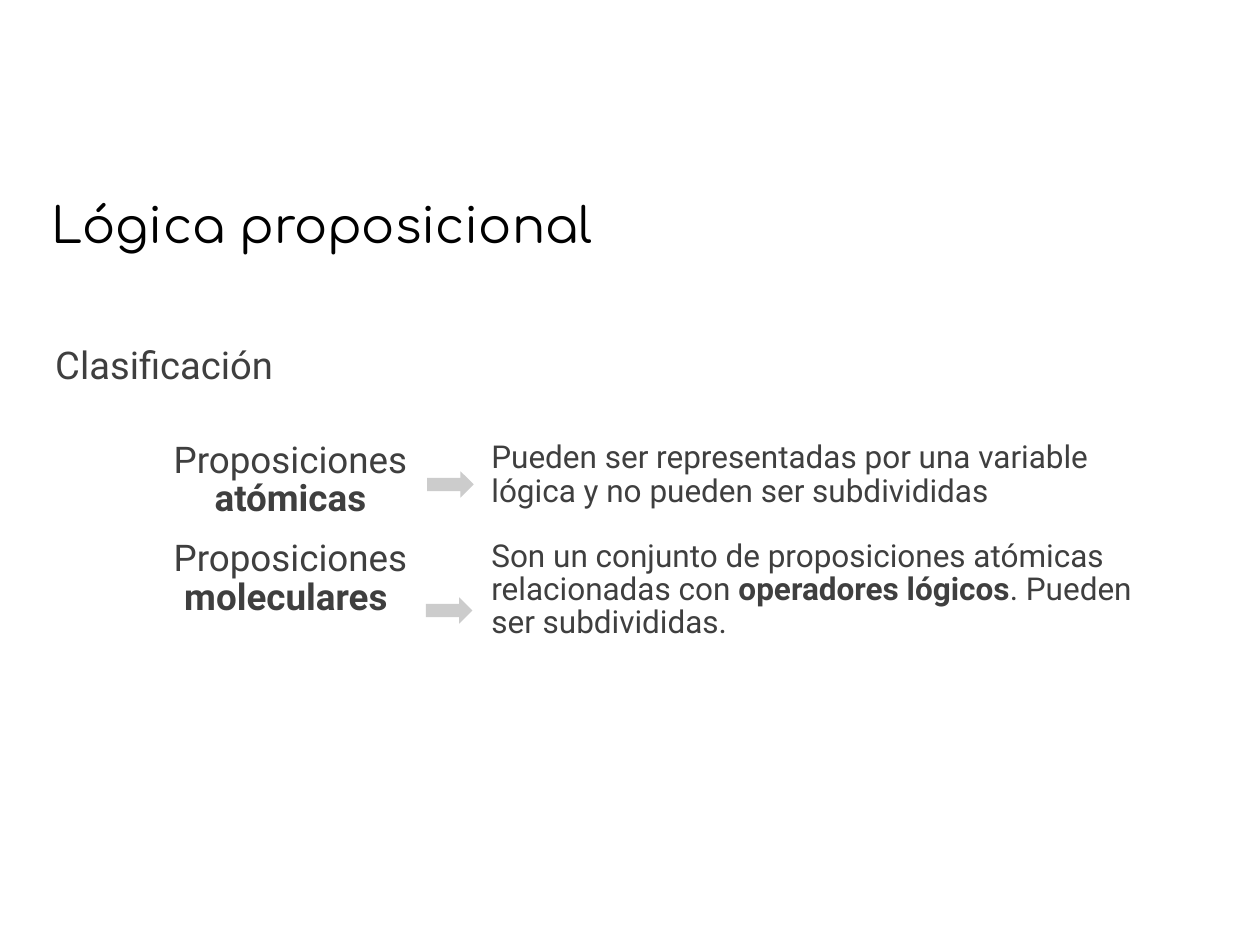
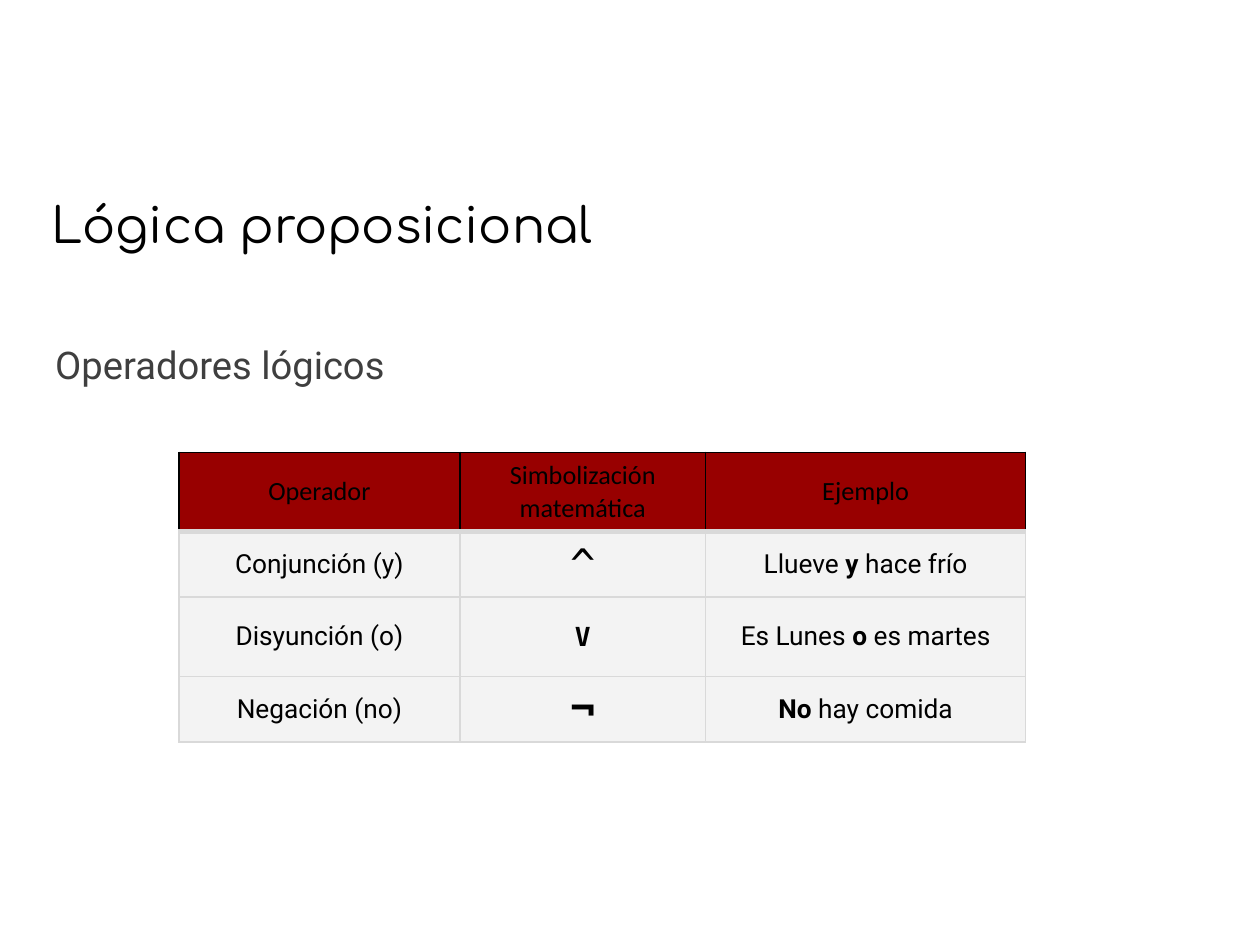
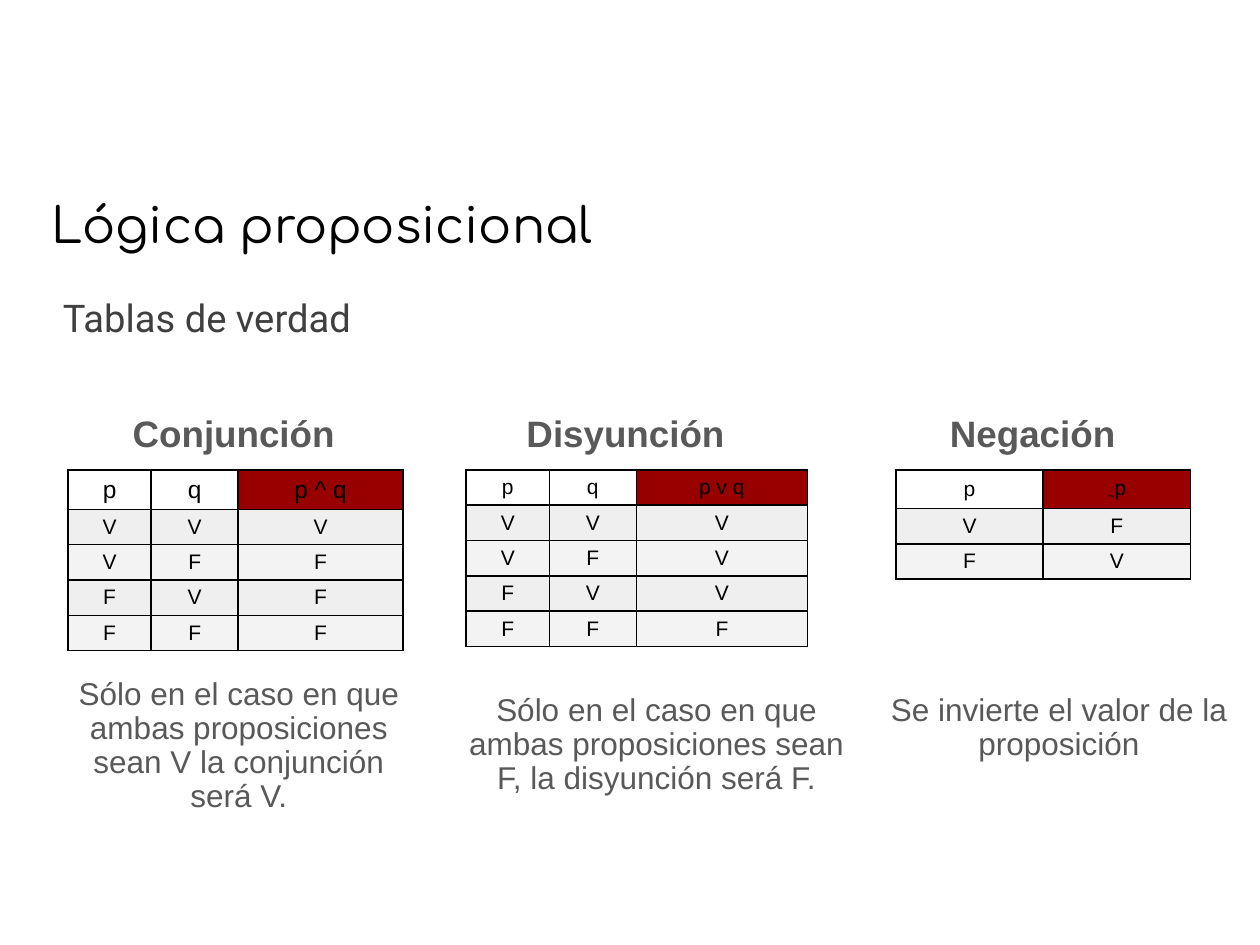
from pptx import Presentation
from pptx.dml.color import RGBColor
from pptx.enum.shapes import MSO_SHAPE as Shape
from pptx.enum.text import MSO_ANCHOR as Anchor, MSO_AUTO_SIZE as AutoSize, PP_ALIGN as Align
from pptx.oxml.ns import qn
from pptx.util import Inches, Pt
from lxml.etree import SubElement

BLACK = RGBColor(0x00, 0x00, 0x00)
WHITE = RGBColor(0xFF, 0xFF, 0xFF)
DARK = RGBColor(0x3F, 0x3F, 0x3F)
GRAY = RGBColor(0x59, 0x59, 0x59)
ARROW = RGBColor(0xCC, 0xCC, 0xCC)
RULE = RGBColor(0xD9, 0xD9, 0xD9)
RED = RGBColor(0x98, 0x00, 0x00)
PALE = RGBColor(0xF3, 0xF3, 0xF3)
BAND = RGBColor(0xEF, 0xEF, 0xEF)

TITLE = "Lógica proposicional"

CLASSES = [
    ([("Proposiciones ", ""), ("atómicas", "bold")],
     "Pueden ser representadas por una variable lógica y no pueden ser subdivididas"),
    ([("Proposiciones ", ""), ("moleculares ", "bold")],
     [("Son un conjunto de proposiciones atómicas relacionadas con ", ""),
      ("operadores lógicos", "bold"), (". Pueden ser subdivididas.", "")]),
]
ARROWS = [(3.39, 3.74), (3.38, 4.74)]

OPERATOR_HEADS = ["Operador", "Simbolización matemática", "Ejemplo"]
OPERATORS = [
    ("Conjunción (y)", "^", 24,
     [("Llueve ", ""), ("y", "bold"), (" hace frío", "")]),
    ("Disyunción (o)", [("V", "bold")], 15,
     [("Es Lunes ", ""), ("o", "bold"), (" es martes", "")]),
    ("Negación (no)", [("¬", "bold")], 24,
     [("No", "bold"), (" hay comida", "")]),
]

TRUTH_TABLES = [
    {"name": "Conjunción ", "name_left": 0.59, "left": 0.54,
     "widths": [0.66, 0.69, 1.31], "head_height": 0.31, "head_size": 14,
     "head": ["p", "q", "p ^ q"], "rows": ["VVV", "VFF", "FVF", "FFF"],
     "note": "Sólo en el caso en que ambas proposiciones sean V la conjunción será V.",
     "note_at": (0.54, 5.31, 2.71, 1.55), "note_insets": (0.07, 0.07)},
    {"name": "Disyunción ", "name_left": 3.7, "left": 3.7,
     "widths": [0.66, 0.69, 1.36], "head_height": 0.28, "head_size": 12,
     "head": ["p", "q", "p v q"], "rows": ["VVV", "VFV", "FVV", "FFF"],
     "note": "Sólo en el caso en que ambas proposiciones sean F, la disyunción será F.",
     "note_at": (3.67, 5.47, 3.08, 1.09), "note_insets": (0, 0.04)},
    {"name": "Negación", "name_left": 6.89, "left": 7.11,
     "widths": [1.17, 1.17], "head_height": 0.28, "head_size": 12,
     "head": ["p", [("~", "sub"), ("p", "")]], "rows": ["VF", "FV"],
     "note": "Se invierte el valor de la proposición",
     "note_at": (7.05, 5.47, 2.71, 0.76), "note_insets": (0, 0.04)},
]


def write(frame, text, font, size, color, align=Align.LEFT, bold=None, spacing=None):
    """Fill the first paragraph with plain text or (text, style) spans."""
    para = frame.paragraphs[0]
    para.alignment = align
    para.line_spacing = spacing
    para.font.name, para.font.size, para.font.bold = font, Pt(size), bold
    para.font.color.rgb = color
    for words, style in [(text, "")] if isinstance(text, str) else text:
        span = para.add_run()
        span.text = words
        if style == "bold":
            span.font.bold = True
        elif style == "sub":
            span.font._element.set("baseline", "-25000")
    return para


def set_insets(holder, side, end):
    """Set the horizontal and vertical margins of a frame or cell."""
    holder.margin_left = holder.margin_right = Inches(side)
    holder.margin_top = holder.margin_bottom = Inches(end)


def add_text(page, at, text, insets, *style, **options):
    """Add a wrapped text box."""
    frame = page.shapes.add_textbox(*map(Inches, at)).text_frame
    frame.word_wrap = True
    set_insets(frame, *insets)
    write(frame, text, *style, **options)


def add_page(deck, heading, at):
    """Add a slide with the shared title and its own heading."""
    page = deck.slides.add_slide(deck.slide_layouts[5])
    title = page.shapes.title
    title.left, title.top, title.width, title.height = map(Inches, (0.34, 1.42, 9.32, 0.63))
    frame = title.text_frame
    frame.auto_size = AutoSize.NONE
    frame.vertical_anchor = Anchor.BOTTOM
    set_insets(frame, 0.07, 0.04)
    write(frame, TITLE, "Comfortaa", 28, BLACK)
    add_text(page, at, heading, (0.1, 0.1), "Roboto", 21.8, DARK)
    return page


def add_grid(page, left, top, widths, heights):
    """Add a table without style bands."""
    table = page.shapes.add_table(len(heights), len(widths), Inches(left), Inches(top),
                                  Inches(sum(widths)), Inches(sum(heights))).table
    table.first_row = table.horz_banding = False
    for column, width in zip(table.columns, widths):
        column.width = Inches(width)
    for row, height in zip(table.rows, heights):
        row.height = Inches(height)
    return table


def format_cell(cell, fill, color, width, insets=(0.08, 0.04), anchor=Anchor.MIDDLE, **sides):
    """Set margins, borders and fill; sides override single borders."""
    set_insets(cell, *insets)
    cell.vertical_anchor = anchor
    properties = cell._tc.get_or_add_tcPr()
    for side in "LRTB":
        side_color, side_width = sides.get(side, (color, width))
        line = SubElement(properties, qn(f"a:ln{side}"), w=str(Pt(side_width)))
        solid = SubElement(line, qn("a:solidFill"))
        SubElement(solid, qn("a:srgbClr"), val=str(side_color))
    if fill is None:
        cell.fill.background()
    else:
        cell.fill.solid()
        cell.fill.fore_color.rgb = fill


def build_classes(deck):
    """Build the classification slide."""
    page = add_page(deck, "Clasificación", (0.34, 2.61, 8.73, 0.53))
    table = add_grid(page, 0.78, 3.44, [2.95, 5.49], [0.78, 0.96])
    styles = [(21, Align.CENTER), (18, Align.LEFT)]
    for row, texts in enumerate(CLASSES):
        for column, (text, (size, align)) in enumerate(zip(texts, styles)):
            cell = table.cell(row, column)
            format_cell(cell, None, WHITE, 0.75, (0.07, 0.07), Anchor.TOP)
            para = write(cell.text_frame, text, "Roboto", size, DARK, align, spacing=0.9)
            para.space_before = Pt(14 * row)
            para._p.get_or_add_pPr().set("marL", str(Inches(0.1)))
    for left, top in ARROWS:
        arrow = page.shapes.add_shape(Shape.RIGHT_ARROW, Inches(left), Inches(top),
                                      Inches(0.37), Inches(0.21))
        arrow.shadow.inherit = False
        arrow.fill.solid()
        arrow.fill.fore_color.rgb = ARROW
        arrow.line.fill.background()


def build_operators(deck):
    """Build the logical operators slide."""
    page = add_page(deck, "Operadores lógicos", (0.34, 2.61, 8.73, 0.53))
    table = add_grid(page, 1.42, 3.59, [2.23, 1.95, 2.54], [0.63, 0.52, 0.63, 0.52])
    thick = (RULE, 3)
    for column, head in enumerate(OPERATOR_HEADS):
        cell = table.cell(0, column)
        format_cell(cell, RED, BLACK, 1, B=thick)
        write(cell.text_frame, head, "Calibri", 15, BLACK, Align.CENTER)
    for row, (name, symbol, symbol_size, example) in enumerate(OPERATORS, 1):
        entries = [(name, "Roboto", 15), (symbol, "DejaVu Sans Mono", symbol_size),
                   (example, "Roboto", 15)]
        for column, (text, font, size) in enumerate(entries):
            cell = table.cell(row, column)
            format_cell(cell, PALE, RULE, 1, T=thick if row == 1 else (RULE, 1))
            write(cell.text_frame, text, font, size, BLACK, Align.CENTER)


def build_truth_tables(deck):
    """Build the truth tables slide."""
    page = add_page(deck, "Tablas de verdad", (0.4, 2.24, 8.73, 0.84))
    for truth in TRUTH_TABLES:
        heights = [truth["head_height"]] + [0.28] * len(truth["rows"])
        table = add_grid(page, truth["left"], 3.73, truth["widths"], heights)
        last = len(truth["head"]) - 1
        for row, texts in enumerate([truth["head"], *truth["rows"]]):
            for column, text in enumerate(texts):
                if row == 0:
                    fill, size = RED if column == last else None, truth["head_size"]
                else:
                    fill, size = BAND if row % 2 else PALE, 12
                cell = table.cell(row, column)
                format_cell(cell, fill, BLACK, 1)
                write(cell.text_frame, text, "Arial", size, BLACK, Align.CENTER)
        add_text(page, (truth["name_left"], 3.26, 2.61, 0.42), truth["name"], (0, 0.04),
                 "Arial", 21, GRAY, Align.CENTER, bold=True, spacing=0.9)
        add_text(page, truth["note_at"], truth["note"], truth["note_insets"],
                 "Arial", 18, GRAY, Align.CENTER, spacing=0.9)


def main():
    """Build and save the deck."""
    deck = Presentation()
    deck.slide_width, deck.slide_height = Inches(10), Inches(7.5)
    build_classes(deck)
    build_operators(deck)
    build_truth_tables(deck)
    deck.save("out.pptx")


if __name__ == "__main__":
    main()
